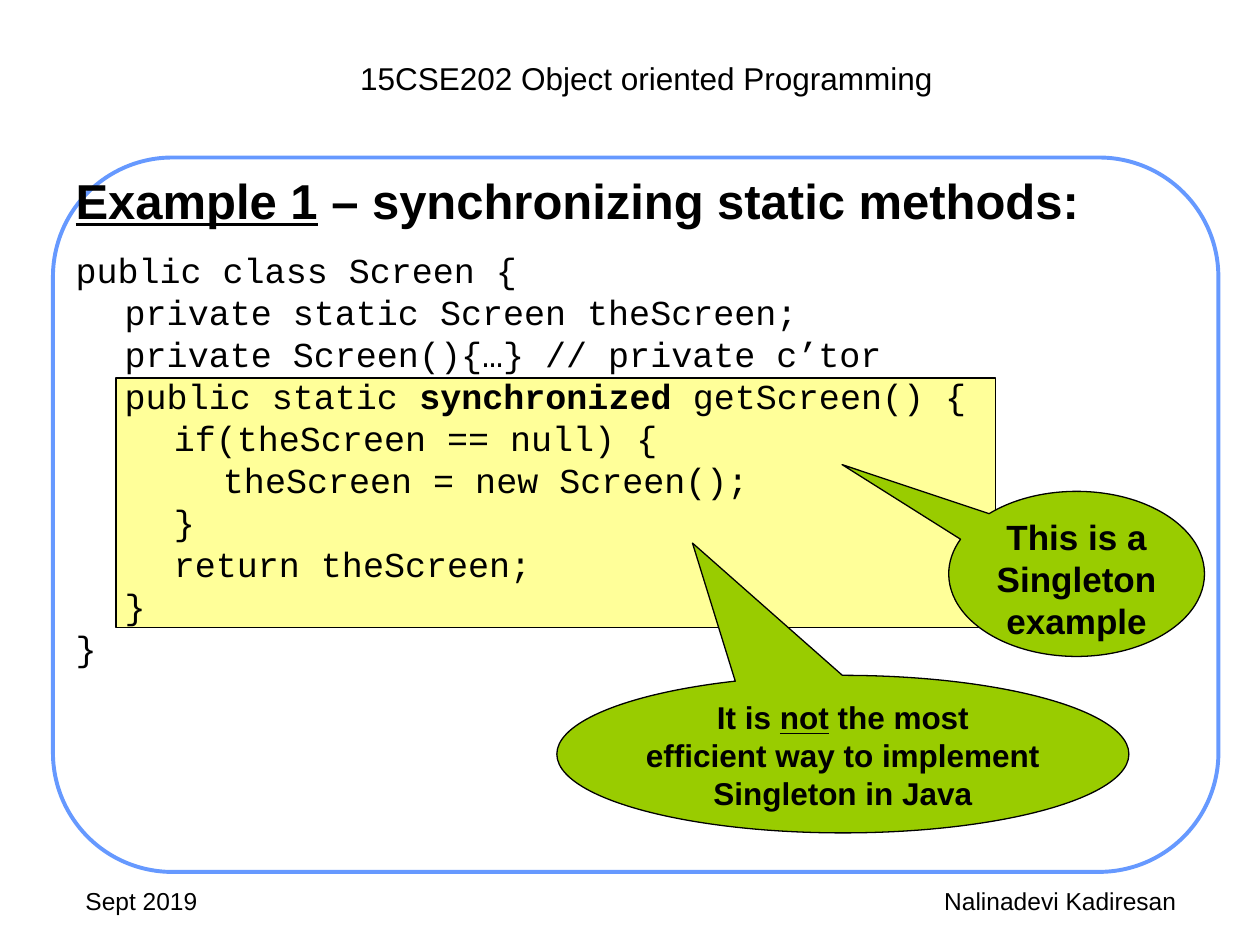
from dataclasses import dataclass
from typing import NamedTuple

from pptx import Presentation
from pptx.dml.color import RGBColor
from pptx.enum.shapes import MSO_SHAPE
from pptx.enum.text import MSO_ANCHOR, MSO_AUTO_SIZE, PP_ALIGN
from pptx.util import Inches, Pt


@dataclass(frozen=True)
class Theme:
    """Colours, fonts and type sizes of the slide."""
    white: str = "FFFFFF"
    ink: str = "000000"
    frame: str = "6699FF"
    highlight: str = "FFFF99"
    callout: str = "99CC00"
    sans: str = "Arial"
    mono: str = "Courier New"
    title: int = 28
    body: int = 20
    header: int = 18
    footer: int = 14


class Box(NamedTuple):
    """A rectangle in percent of the slide's width and height."""
    left: float
    top: float
    width: float
    height: float


class Run(NamedTuple):
    """A piece of text with its emphasis."""
    text: str
    bold: bool = False
    underline: bool = False


class Line(NamedTuple):
    """A line of text at an indent level."""
    level: int
    runs: list[Run]


class Callout(NamedTuple):
    """An elliptical callout with its tip offset and text."""
    box: Box
    tip: tuple[float, float]
    size: int
    runs: list[Run]


class Label(NamedTuple):
    """A single plain line of header or footer text."""
    box: Box
    text: str
    size: int
    align: PP_ALIGN


T = Theme()
WIDTH, HEIGHT = Inches(10), Inches(7.5)
INDENT = Inches(0.39)

LABELS = [
    Label(Box(14.2, 5.6, 74.2, 5.33), "15CSE202 Object oriented Programming", T.header, PP_ALIGN.CENTER),
    Label(Box(5.8, 93.07, 23.3, 6.93), "Sept 2019", T.footer, PP_ALIGN.LEFT),
    Label(Box(68.3, 93.07, 31.7, 6.93), "Nalinadevi Kadiresan", T.footer, PP_ALIGN.CENTER),
]
TITLE = [Line(0, [Run("Example 1", True, True), Run(" – synchronizing static methods:", True)])]
CODE = [
    Line(0, [Run("public class Screen {")]),
    Line(1, [Run("private static Screen theScreen;")]),
    Line(1, [Run("private Screen(){…} // private c’tor")]),
    Line(1, [Run("public static "), Run("synchronized", True), Run(" getScreen() {")]),
    Line(2, [Run("if(theScreen == null) {")]),
    Line(3, [Run("theScreen = new Screen();")]),
    Line(2, [Run("}")]),
    Line(2, [Run("return theScreen;")]),
    Line(1, [Run("}")]),
    Line(0, [Run("}")]),
]
CALLOUTS = [
    Callout(Box(75.3, 52, 20.3, 17.47), (-0.917, -0.662), T.body,
            [Run("This is a Singleton example", True)]),
    Callout(Box(44.2, 71.47, 45.4, 16.67), (-0.263, -1.34), T.header,
            [Run("It is ", True), Run("not", True, True), Run(" the most", True), Run("\n"),
             Run("efficient way to implement Singleton in Java", True)]),
]


def place(box: Box) -> tuple[int, int, int, int]:
    """Turn percentages into slide lengths."""
    return tuple(int(share * side / 100) for share, side in zip(box, (WIDTH, HEIGHT) * 2))


def write(tf, lines: list[Line], *, size: int, font: str = T.sans,
          align: PP_ALIGN = PP_ALIGN.LEFT, inset: bool = True) -> None:
    """Fill a text frame with formatted lines."""
    tf.word_wrap, tf.auto_size, tf.vertical_anchor = True, MSO_AUTO_SIZE.NONE, MSO_ANCHOR.TOP
    tf.margin_left = tf.margin_right = Inches(0.1 if inset else 0)
    tf.margin_top = tf.margin_bottom = Inches(0.05 if inset else 0)
    for i, line in enumerate(lines):
        p = tf.add_paragraph() if i else tf.paragraphs[0]
        p.alignment = align
        if line.level:
            p._p.get_or_add_pPr().set("marL", str(line.level * INDENT))
        for run in line.runs:
            if run.text == "\n":
                p.add_line_break()
                continue
            r = p.add_run()
            r.text = run.text
            r.font.name, r.font.size = font, Pt(size)
            r.font.bold, r.font.underline = run.bold, run.underline
            r.font.color.rgb = RGBColor.from_string(T.ink)


def add_text(s, box: Box, lines: list[Line], **fmt) -> None:
    """Add a text box."""
    write(s.shapes.add_textbox(*place(box)).text_frame, lines, **fmt)


def add_figure(s, kind: MSO_SHAPE, box: Box, fill: str, *, line: str = T.ink,
               weight: float = 0.75, adjust: tuple[float, ...] = ()):
    """Add a filled and outlined preset shape."""
    sp = s.shapes.add_shape(kind, *place(box))
    sp.shadow.inherit = False
    sp.fill.solid()
    sp.fill.fore_color.rgb = RGBColor.from_string(fill)
    sp.line.color.rgb = RGBColor.from_string(line)
    sp.line.width = Pt(weight)
    for i, value in enumerate(adjust):
        sp.adjustments[i] = value
    return sp


def add_title(s, box: Box, lines: list[Line]) -> None:
    """Format the title placeholder and bring it to the front."""
    sp = s.shapes.title
    sp.left, sp.top, sp.width, sp.height = place(box)
    write(sp.text_frame, lines, size=T.title)
    s.shapes._spTree.append(sp._element)


def add_callout(s, callout: Callout) -> None:
    """Add an elliptical callout."""
    sp = add_figure(s, MSO_SHAPE.OVAL_CALLOUT, callout.box, T.callout, adjust=callout.tip)
    write(sp.text_frame, [Line(0, callout.runs)], size=callout.size,
          align=PP_ALIGN.CENTER, inset=False)


def main() -> None:
    """Build and save the slide."""
    prs = Presentation()
    prs.slide_width, prs.slide_height = WIDTH, HEIGHT
    s = prs.slides.add_slide(prs.slide_layouts[5])
    add_figure(s, MSO_SHAPE.ROUNDED_RECTANGLE, Box(4.2, 16.67, 92.5, 75.6), T.white,
               line=T.frame, weight=2.25, adjust=(0.167,))
    add_figure(s, MSO_SHAPE.RECTANGLE, Box(9.2, 40, 69.8, 26.4), T.highlight)
    add_text(s, Box(6, 26.27, 85.3, 44.53), CODE, size=T.body, font=T.mono, inset=False)
    add_title(s, Box(5, 17.33, 90, 6.93), TITLE)
    for callout in CALLOUTS:
        add_callout(s, callout)
    for label in LABELS:
        add_text(s, label.box, [Line(0, [Run(label.text)])], size=label.size, align=label.align)
    prs.save("out.pptx")


if __name__ == "__main__":
    main()
